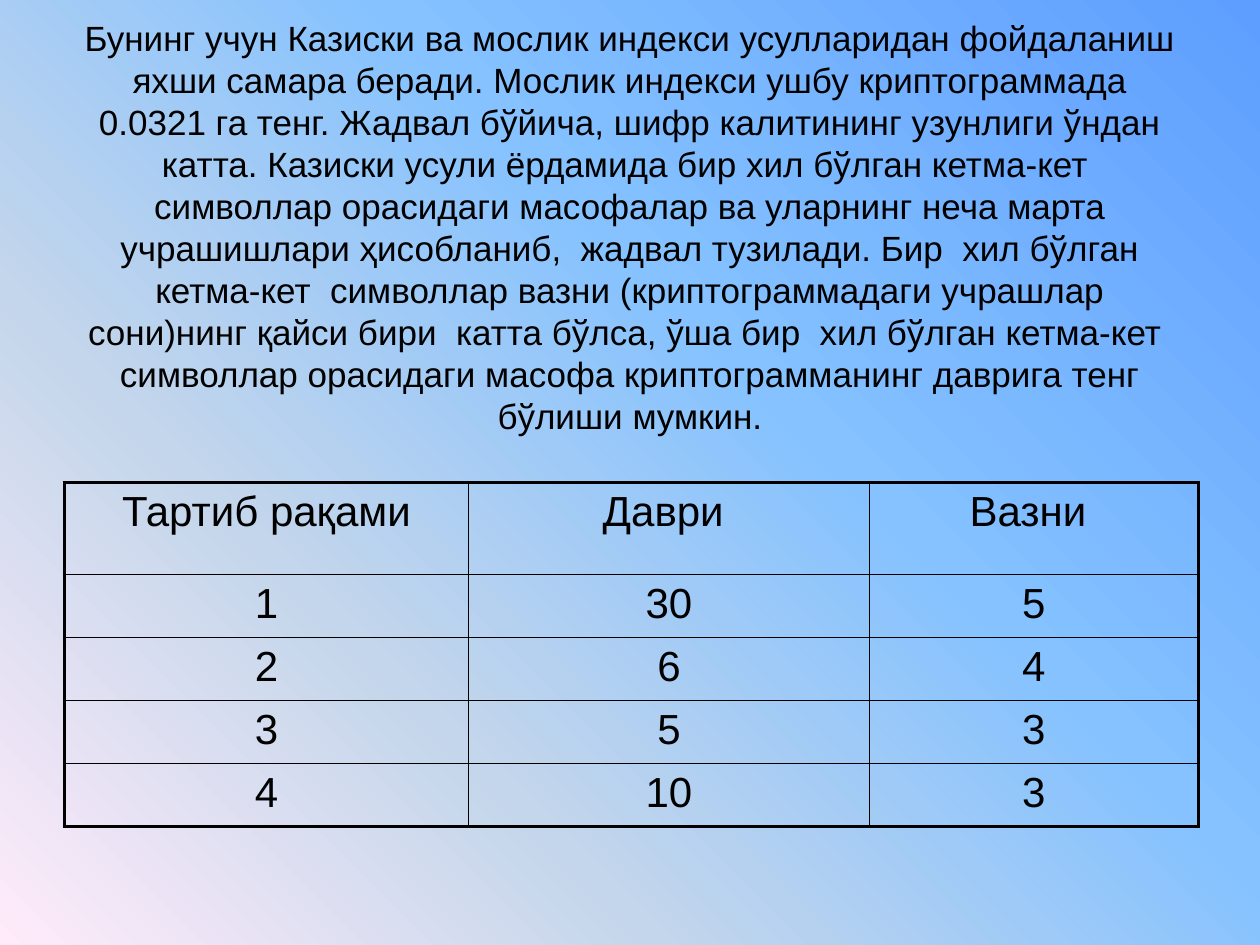
"""Build a slide with a paragraph on cipher key length and a table of periods."""
import dataclasses
import typing

import pptx
import pptx.dml.color
import pptx.enum.text
import pptx.oxml
import pptx.oxml.ns
import pptx.util

Inches = pptx.util.Inches
Pt = pptx.util.Pt
HUES = {"ink": "000000", "pink": "FFEBFA", "mist": "C4D6EB",
        "sky": "85C2FF", "blue": "5E9EFF"}
STOPS = {"pink": 0, "mist": 30, "sky": 60, "blue": 100}
BODY = (
    "Бунинг учун Казиски ва мослик индекси усулларидан фойдаланиш яхши самара беради. "
    "Мослик индекси ушбу криптограммада 0.0321 га тенг. Жадвал бўйича, шифр калитининг "
    "узунлиги ўндан катта. Казиски усули ёрдамида бир хил бўлган кетма-кет  символлар "
    "орасидаги масофалар ва уларнинг неча марта учрашишлари ҳисобланиб,  жадвал тузилади. "
    "Бир  хил бўлган кетма-кет  символлар вазни (криптограммадаги учрашлар сони)нинг қайси "
    "бири  катта бўлса, ўша бир  хил бўлган кетма-кет  символлар орасидаги масофа "
    "криптограмманинг даврига тенг бўлиши мумкин."
)


@dataclasses.dataclass
class Row:
    """Hold one table row and its height in inches."""
    cells: tuple[str, str, str]
    high: float = 0.44


WIDTHS = (3.21, 3.18, 2.61)
ROWS = (
    Row(("Тартиб рақами", "Даври ", "Вазни "), 0.73),
    Row(("1", "30", "5")),
    Row(("2", "6", "4")),
    Row(("3", "5", "3")),
    Row(("4", "10", "3")),
)


def apply(item: typing.Any, form: dict[str, typing.Any]) -> None:
    """Set each attribute named in the format."""
    for name, value in form.items():
        setattr(item, name, value)


def write(frame: typing.Any, text: str, size: int) -> typing.Any:
    """Put centred text in a frame and return its paragraph."""
    para = frame.paragraphs[0]
    para.alignment = pptx.enum.text.PP_ALIGN.CENTER
    run = para.add_run()
    run.text = text
    apply(run.font, {"name": "Arial", "size": Pt(size)})
    run.font.color.rgb = pptx.dml.color.RGBColor.from_string(HUES["ink"])
    return para


def paint(slide: typing.Any) -> None:
    """Give the slide its diagonal gradient."""
    stops = "".join(
        f'<a:gs pos="{at * 1000}"><a:srgbClr val="{HUES[hue]}"/></a:gs>'
        for hue, at in STOPS.items())
    back = pptx.oxml.parse_xml(
        f'<p:bg {pptx.oxml.ns.nsdecls("p", "a")}><p:bgPr><a:gradFill rotWithShape="1">'
        f'<a:gsLst>{stops}</a:gsLst><a:lin ang="18900000" scaled="1"/></a:gradFill>'
        '<a:effectLst/></p:bgPr></p:bg>')
    slide.element.cSld.insert(0, back)


def edge(cell: typing.Any, side: str, width: int) -> None:
    """Draw one border of a cell."""
    line = pptx.oxml.parse_xml(
        f'<a:ln{side} {pptx.oxml.ns.nsdecls("a")} w="{Pt(width)}"><a:solidFill>'
        f'<a:srgbClr val="{HUES["ink"]}"/></a:solidFill></a:ln{side}>')
    cell._tc.get_or_add_tcPr().append(line)


def draw(slide: typing.Any) -> None:
    """Add the table of periods and weights."""
    table = slide.shapes.add_table(
        len(ROWS), len(WIDTHS), Inches(0.51), Inches(3.83),
        Inches(sum(WIDTHS)), Inches(sum(row.high for row in ROWS))).table
    apply(table, {"first_row": False, "horz_banding": False})
    for col, width in zip(table.columns, WIDTHS):
        col.width = Inches(width)
    for i, row in enumerate(ROWS):
        table.rows[i].height = Inches(row.high)
        for j, text in enumerate(row.cells):
            cell = table.cell(i, j)
            para = write(cell.text_frame, text, 24)
            props = para._p.get_or_add_pPr()
            props.set("marL", str(Inches(0.38)))
            props.set("indent", str(Inches(-0.38)))
            outer = {"L": j == 0, "R": j == len(WIDTHS) - 1,
                     "T": i == 0, "B": i == len(ROWS) - 1}
            for side, thick in outer.items():
                edge(cell, side, 2 if thick else 1)
            cell.fill.background()


def main() -> None:
    """Build and save the slide."""
    deck = pptx.Presentation()
    apply(deck, {"slide_width": Inches(10), "slide_height": Inches(7.5)})
    slide = deck.slides.add_slide(deck.slide_layouts[6])
    paint(slide)
    box = slide.shapes.add_textbox(Inches(0.5), Inches(0.15), Inches(9), Inches(3.29))
    apply(box.text_frame, {"word_wrap": True,
                           "vertical_anchor": pptx.enum.text.MSO_ANCHOR.MIDDLE})
    write(box.text_frame, BODY, 20)
    draw(slide)
    deck.save("out.pptx")


if __name__ == "__main__":
    main()
